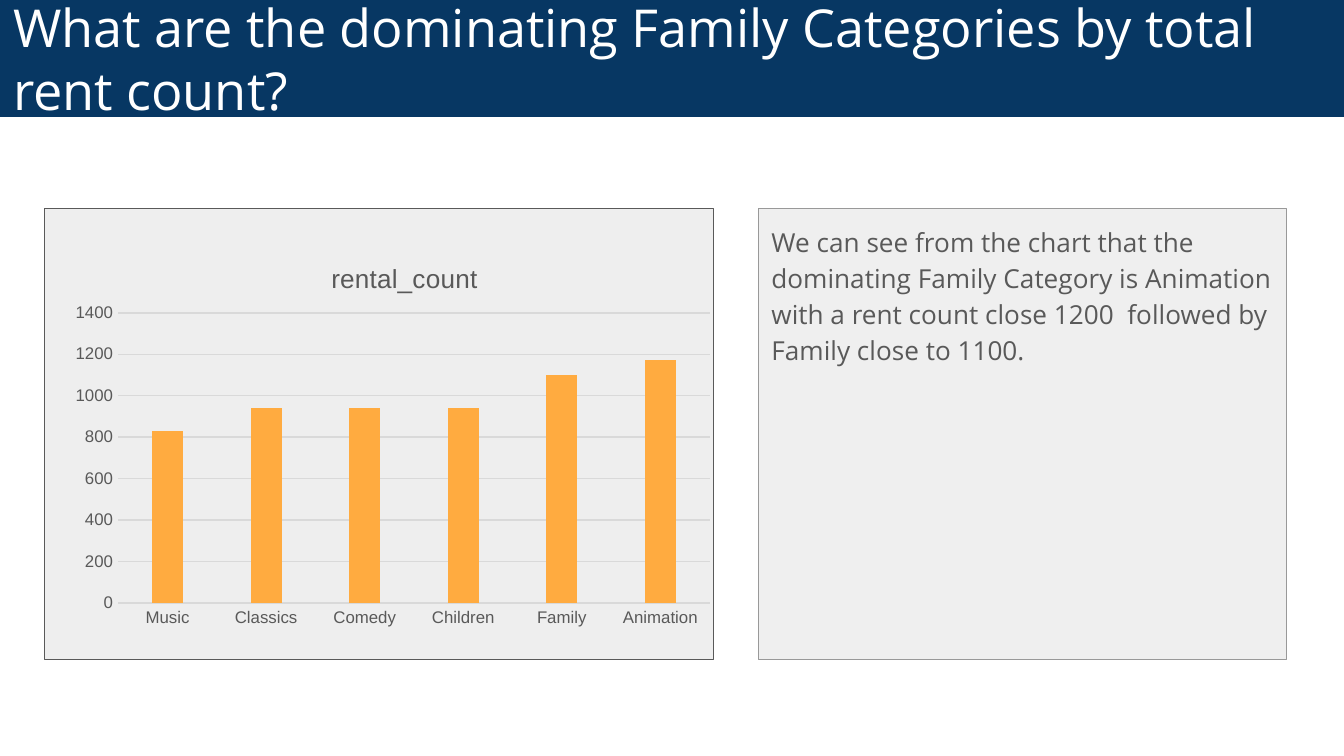
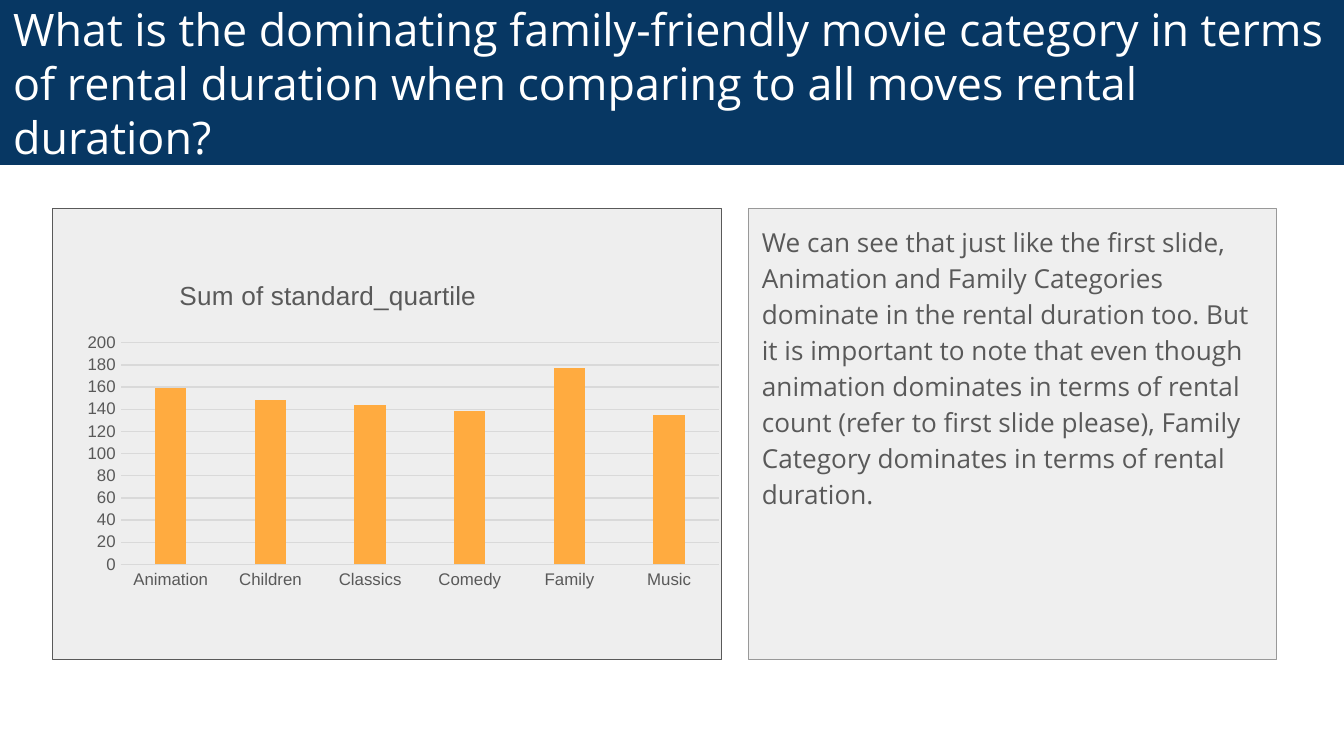
from lxml.etree import SubElement
from pptx import Presentation
from pptx.chart.data import CategoryChartData
from pptx.dml.color import RGBColor
from pptx.enum.chart import XL_CHART_TYPE, XL_TICK_MARK
from pptx.enum.shapes import MSO_SHAPE
from pptx.enum.text import MSO_ANCHOR, PP_ALIGN
from pptx.oxml.ns import qn
from pptx.util import Cm, Pt

NAVY, WHITE, ORANGE = "073763", "FFFFFF", "FFAB40"
GREY, RULE, EDGE = "595959", "D9D9D9", "999999"
PANEL_TOP, PANEL_HEIGHT = 3.94, 8.53

slides = [
    dict(
        title="What are the dominating Family Categories by total rent count?",
        size=28, band=2.21, panel_left=0.84, note_left=14.33,
        note="We can see from the chart that the dominating Family Category is "
             "Animation with a rent count close 1200  followed by Family close to 1100.",
        chart_at=(1.22, 4.39), chart_title="rental_count", series="rental_count",
        data={"Music": 830, "Classics": 940, "Comedy": 940,
              "Children": 940, "Family": 1100, "Animation": 1170},
        top=1400, step=200,
        title_at=dict(x=0.39, y=0.06), plot_at=dict(x=0.08, y=0.2, w=0.88, h=0.72),
    ),
    dict(
        title="What is the dominating family-friendly movie category in terms of "
              "rental duration when comparing to all moves rental duration?",
        size=24, band=3.12, panel_left=0.99, note_left=14.15,
        note="We can see that just like the first slide, Animation and Family "
             "Categories dominate in the rental duration too. But it is important to "
             "note that even though animation dominates in terms of rental count "
             "(refer to first slide please), Family Category dominates in terms of "
             "rental duration.",
        chart_at=(1.27, 4.27), chart_title="Sum of standard_quartile", series="Series 1",
        data={"Animation": 159, "Children": 148, "Classics": 144,
              "Comedy": 138, "Family": 177, "Music": 135},
        top=200, step=20,
        title_at=dict(x=0.16, y=0.12), plot_at=dict(x=0.08, y=0.29, w=0.89, h=0.55),
    ),
]


def paint(color, value):
    color.rgb = RGBColor.from_string(value)


def add_box(s, left, top, width, height, fill, line=None, text="", size=14, color=GREY):
    sp = s.shapes.add_shape(MSO_SHAPE.RECTANGLE, Cm(left), Cm(top), Cm(width), Cm(height))
    sp.shadow.inherit = False
    sp.fill.solid()
    paint(sp.fill.fore_color, fill)
    if line:
        paint(sp.line.color, line)
        sp.line.width = Pt(0.75)
    else:
        sp.line.fill.background()
    tf = sp.text_frame
    tf.word_wrap = True
    tf.margin_left = tf.margin_right = tf.margin_top = tf.margin_bottom = Cm(0.25)
    if text:
        p = tf.paragraphs[0]
        p.text = text
        p.alignment = PP_ALIGN.LEFT
        p.font.name = "Open Sans"
        p.font.size = Pt(size)
        paint(p.font.color, color)
    return tf


prs = Presentation()
prs.slide_width, prs.slide_height = Cm(25.4), Cm(14.29)

for d in slides:
    s = prs.slides.add_slide(prs.slide_layouts[6])

    tf = add_box(s, d["note_left"], PANEL_TOP, 9.98, PANEL_HEIGHT, "EFEFEF", EDGE, d["note"])
    tf.vertical_anchor = MSO_ANCHOR.TOP
    tf.paragraphs[0].line_spacing = 1.15
    tf.paragraphs[0].space_after = Pt(16)

    add_box(s, d["panel_left"], PANEL_TOP, 12.65, PANEL_HEIGHT, "EEEEEE", GREY)

    tf = add_box(s, 0, 0, 25.4, d["band"], NAVY, None, d["title"], d["size"], WHITE)
    tf.vertical_anchor = MSO_ANCHOR.MIDDLE

    data = CategoryChartData()
    data.categories = list(d["data"])
    data.add_series(d["series"], list(d["data"].values()))
    left, top = d["chart_at"]
    chart = s.shapes.add_chart(XL_CHART_TYPE.COLUMN_CLUSTERED, Cm(left), Cm(top),
                               Cm(12.7), Cm(7.62), data).chart
    chart.has_legend = False
    chart.font.name = "Arial"
    chart.font.size = Pt(10)

    chart.has_title = True
    p = chart.chart_title.text_frame.paragraphs[0]
    p.text = d["chart_title"]
    p.font.name = "Arial"
    p.font.size = Pt(14)
    p.font.bold = False
    paint(p.font.color, GREY)

    plot = chart.plots[0]
    plot.gap_width = 219
    plot.overlap = -27
    plot.vary_by_categories = False
    bars = plot.series[0].format.fill
    bars.solid()
    paint(bars.fore_color, ORANGE)

    cat, val = chart.category_axis, chart.value_axis
    for axis in (cat, val):
        axis.major_tick_mark = axis.minor_tick_mark = XL_TICK_MARK.NONE
        font = axis.tick_labels.font
        font.name = "Arial"
        font.size = Pt(9)
        paint(font.color, GREY)
    val.minimum_scale, val.maximum_scale, val.major_unit = 0, d["top"], d["step"]
    val.format.line.fill.background()
    for line in (cat.format.line, val.major_gridlines.format.line):
        paint(line.color, RULE)
        line.width = Pt(0.75)

    title = chart.chart_title._element
    area = title.getparent().find(qn("c:plotArea"))
    for parent, index, place in ((title, 1, d["title_at"]), (area, 0, d["plot_at"])):
        for old in parent.findall(qn("c:layout")):
            parent.remove(old)
        layout = SubElement(parent, qn("c:layout"))
        parent.insert(index, layout)
        manual = SubElement(layout, qn("c:manualLayout"))
        if parent is area:
            SubElement(manual, qn("c:layoutTarget")).set("val", "inner")
        for key in ("x", "y"):
            SubElement(manual, qn(f"c:{key}Mode")).set("val", "edge")
        for key, value in place.items():
            SubElement(manual, qn(f"c:{key}")).set("val", str(value))

prs.save("out.pptx")
